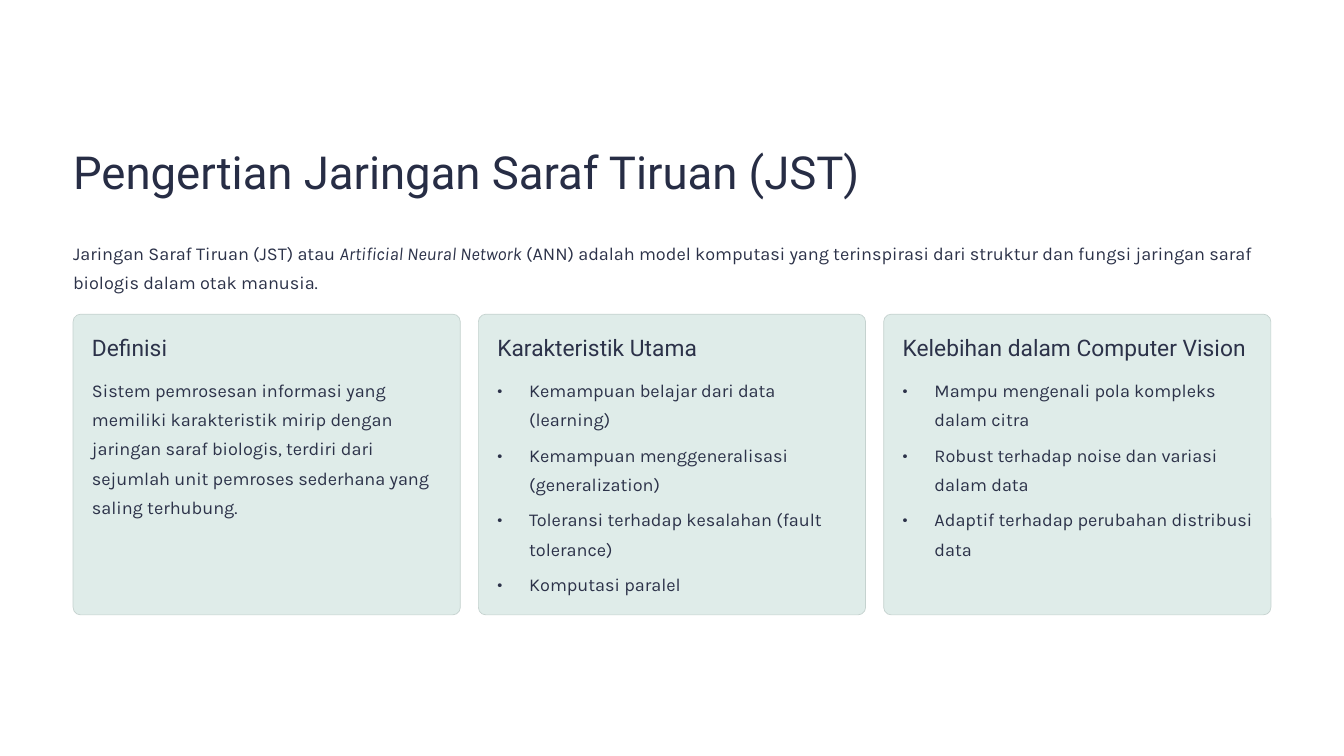
from dataclasses import dataclass
from lxml.etree import SubElement as Sub
from pptx import Presentation as Deck
from pptx.dml.color import RGBColor as Color
from pptx.enum.shapes import MSO_SHAPE as Kind
from pptx.enum.text import MSO_ANCHOR as Anchor, MSO_AUTO_SIZE as Fit, PP_ALIGN as Align
from pptx.oxml.ns import qn
from pptx.util import Inches, Pt


@dataclass(frozen=True)
class Theme:
    page: str = "FFFFFF"
    title: str = "272D45"
    ink: str = "2C3249"
    card: str = "DFECE9"
    edge: str = "C5D2CF"
    head: str = "Roboto"
    body: str = "Karla"
    big: float = 39
    mid: float = 19.5
    small: float = 15.5


look = Theme()
WIDE, HIGH = 16, 9
LEFT = 0.87
SPAN = WIDE - 2 * LEFT
GAP = 0.215
COL = (SPAN - 2 * GAP) / 3
TOP, TALL = 3.74, 3.58
PAD = 0.225
INDENT = 0.38

INTRO = [
    ("Jaringan Saraf Tiruan (JST) atau ", False),
    ("Artificial Neural Network", True),
    (" (ANN) adalah model komputasi yang terinspirasi dari struktur dan fungsi "
     "jaringan saraf biologis dalam otak manusia.", False),
]
CARDS = [
    ("Definisi", False, [
        "Sistem pemrosesan informasi yang memiliki karakteristik mirip dengan "
        "jaringan saraf biologis, terdiri dari sejumlah unit pemroses sederhana "
        "yang saling terhubung."]),
    ("Karakteristik Utama", True, [
        "Kemampuan belajar dari data (learning)",
        "Kemampuan menggeneralisasi (generalization)",
        "Toleransi terhadap kesalahan (fault tolerance)",
        "Komputasi paralel"]),
    ("Kelebihan dalam Computer Vision", True, [
        "Mampu mengenali pola kompleks dalam citra",
        "Robust terhadap noise dan variasi dalam data",
        "Adaptif terhadap perubahan distribusi data"]),
]


def place(x, y, w, h):
    return [Inches(n) for n in (x, y, w, h)]


def bullet(para, face):
    props = para._p.get_or_add_pPr()
    props.set("marL", str(Inches(INDENT)))
    props.set("indent", str(-Inches(INDENT)))
    Sub(props, qn("a:buSzPct")).set("val", "100000")
    Sub(props, qn("a:buFont")).set("typeface", face)
    Sub(props, qn("a:buChar")).set("char", "•")


def write(shape, lines, face=look.body, size=look.small, tint=look.ink,
          lead=25, gap=0, dots=False):
    frame = shape.text_frame
    frame.margin_left = frame.margin_right = 0
    frame.margin_top = frame.margin_bottom = 0
    frame.auto_size = Fit.NONE
    frame.word_wrap = True
    frame.vertical_anchor = Anchor.TOP
    for i, line in enumerate(lines):
        para = frame.add_paragraph() if i else frame.paragraphs[0]
        if dots:
            bullet(para, face)
        para.alignment = Align.LEFT
        para.line_spacing = Pt(lead)
        if i:
            para.space_before = Pt(gap)
        for text, slant in [(line, False)] if isinstance(line, str) else line:
            run = para.add_run()
            run.text = text
            font = run.font
            font.name, font.size, font.italic = face, Pt(size), slant
            font.color.rgb = Color.from_string(tint)


def label(slide, area, lines, **form):
    write(slide.shapes.add_textbox(*place(*area)), lines, **form)


def panel(slide, area):
    shape = slide.shapes.add_shape(Kind.ROUNDED_RECTANGLE, *place(*area))
    shape.adjustments[0] = 0.025
    shape.shadow.inherit = False
    shape.fill.solid()
    shape.fill.fore_color.rgb = Color.from_string(look.card)
    shape.line.color.rgb = Color.from_string(look.edge)
    shape.line.width = Pt(0.6)


def card(slide, col, head, dots, lines):
    x = LEFT + col * (COL + GAP)
    room = COL - 1.8 * PAD
    panel(slide, (x, TOP, COL, TALL))
    label(slide, (x + PAD, TOP + 0.22, room, 0.34), [head],
          face=look.head, size=look.mid, lead=24)
    label(slide, (x + PAD, TOP + 0.69, room, 2.66), lines, gap=5.4, dots=dots)


def main():
    deck = Deck()
    deck.slide_width, deck.slide_height = Inches(WIDE), Inches(HIGH)
    slide = deck.slides.add_slide(deck.slide_layouts.get_by_name("Title Only"))
    fill = slide.background.fill
    fill.solid()
    fill.fore_color.rgb = Color.from_string(look.page)
    title = slide.shapes.title
    title.left, title.top, title.width, title.height = place(LEFT, 1.69, 0.7 * SPAN, 0.68)
    write(title, ["Pengertian Jaringan Saraf Tiruan (JST)"], face=look.head,
          size=look.big, tint=look.title, lead=48.5)
    label(slide, (LEFT, 2.8, SPAN, 0.69), [INTRO])
    for col, item in enumerate(CARDS):
        card(slide, col, *item)
    deck.save("out.pptx")


if __name__ == "__main__":
    main()
